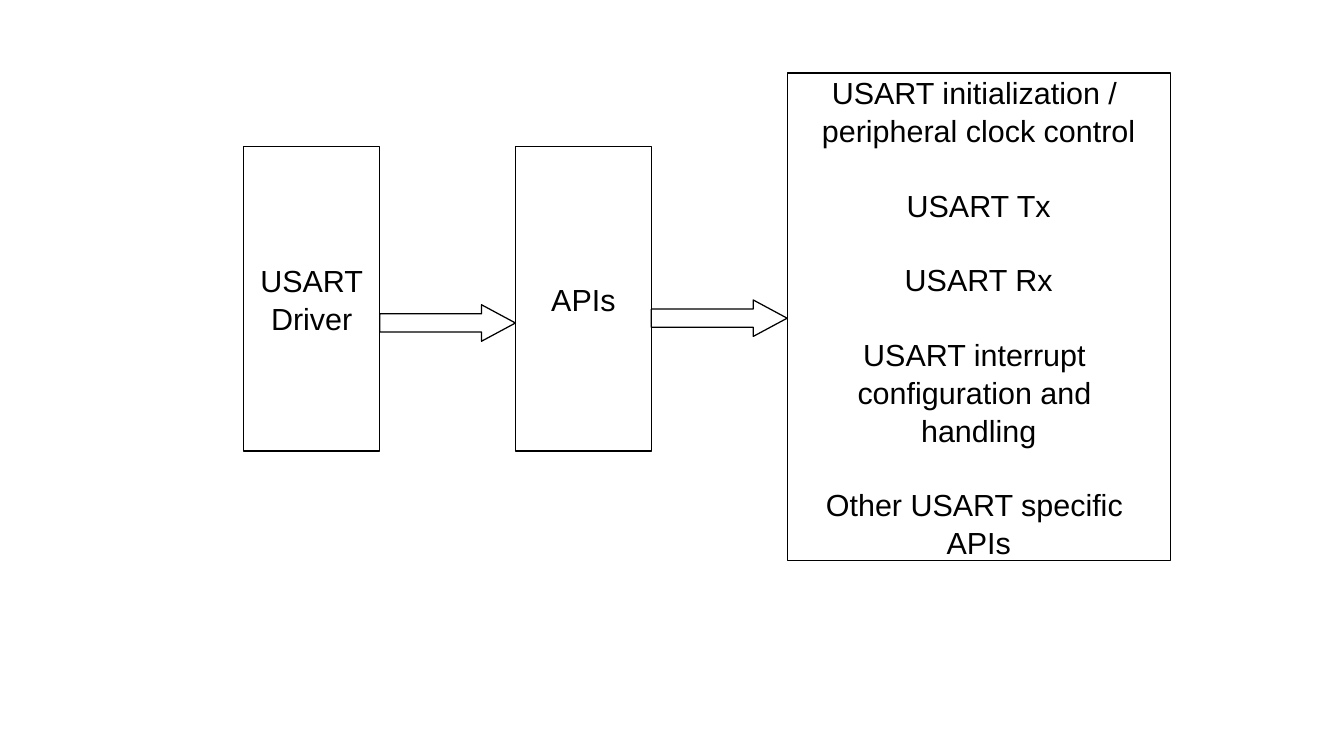
import pptx
import pptx.util
import pptx.dml.color
import pptx.enum.shapes
import pptx.enum.text

Cm = pptx.util.Cm
Pt = pptx.util.Pt
KINDS = pptx.enum.shapes.MSO_SHAPE
HUES = {"ink": "000000"}
INK = pptx.dml.color.RGBColor.from_string(HUES["ink"])
FRAME = {
    "word_wrap": False,
    "vertical_anchor": pptx.enum.text.MSO_ANCHOR.MIDDLE,
    "margin_left": Cm(0.25),
    "margin_right": Cm(0.25),
    "margin_top": Cm(0.13),
    "margin_bottom": Cm(0.13),
}
PARA = {"alignment": pptx.enum.text.PP_ALIGN.CENTER, "line_spacing": 1.04}
FONT = {"name": "Arial", "size": Pt(18)}
STEP = 2.83
TASKS = [
    "USART initialization / \vperipheral clock control",
    "USART Tx",
    "USART Rx",
    "USART interrupt \vconfiguration and \vhandling",
    "Other USART specific \vAPIs",
]


def apply(item, style):
    for key, value in style.items():
        setattr(item, key, value)


def outline(slide, kind, box):
    shape = slide.shapes.add_shape(kind, *map(Cm, box))
    shape.shadow.inherit = False
    shape.fill.background()
    shape.line.color.rgb = INK
    shape.line.width = Pt(0.75)
    return shape


def block(slide, box, texts):
    frame = outline(slide, KINDS.RECTANGLE, box).text_frame
    apply(frame, FRAME)
    for rank, text in enumerate(texts):
        para = frame.add_paragraph() if rank else frame.paragraphs[0]
        para.text = text
        apply(para, PARA)
        para.space_before = Pt(21.6 if rank else 0)
        for run in para.runs:
            apply(run.font, FONT)
            run.font.color.rgb = INK


def arrow(slide, box):
    shape = outline(slide, KINDS.RIGHT_ARROW, box)
    shape.adjustments[0] = 0.5
    shape.adjustments[1] = 0.93


def diagram(slide, box):
    left, top, width, height = box
    stops = [left + STEP * rank for rank in range(5)]
    block(slide, (stops[0], top + 1.53, STEP, 6.35), ["USART\vDriver"])
    block(slide, (stops[2], top + 1.53, STEP, 6.35), ["APIs"])
    arrow(slide, (stops[1], top + 4.83, STEP, 0.76))
    arrow(slide, (stops[3], top + 4.73, STEP, 0.76))
    block(slide, (stops[4], top, width - 4 * STEP, height), TASKS)


def main():
    deck = pptx.Presentation()
    deck.slide_width, deck.slide_height = Cm(28), Cm(15.75)
    slide = deck.slides.add_slide(deck.slide_layouts[6])
    diagram(slide, (5.08, 1.52, 19.3, 10.16))
    deck.save("out.pptx")


if __name__ == "__main__":
    main()
